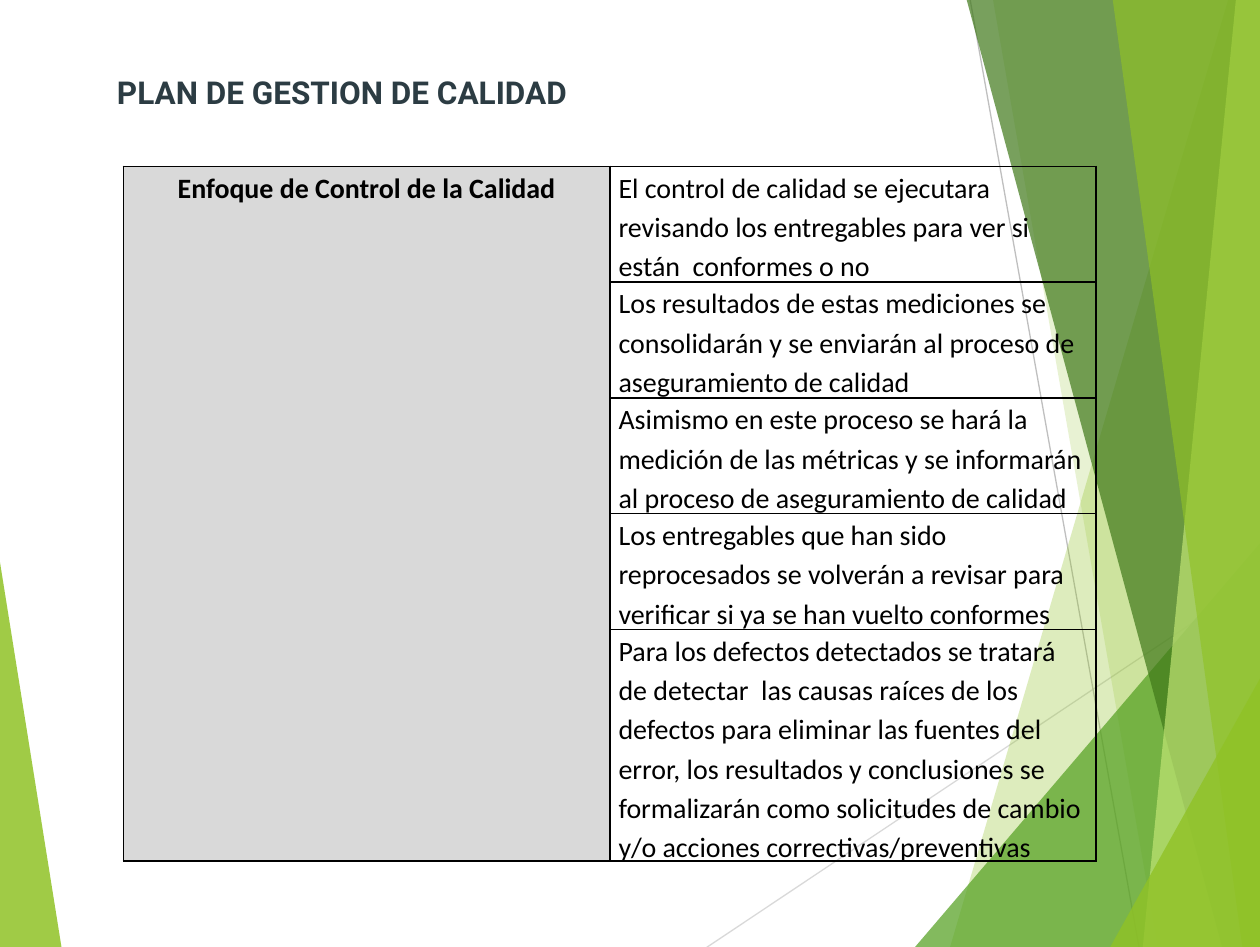
from dataclasses import dataclass
from lxml.etree import SubElement as Sub
from pptx import Presentation
from pptx.dml.color import RGBColor as RGB
from pptx.enum.shapes import MSO_CONNECTOR as Conn
from pptx.enum.text import MSO_AUTO_SIZE as Auto, PP_ALIGN as Align
from pptx.oxml.ns import qn
from pptx.util import Inches, Pt


@dataclass(frozen=True)
class Theme:
    lime: str = "90C226"
    green: str = "54A021"
    dark: str = "3F7819"
    pale: str = "C0E474"
    mist: str = "D9D9D9"
    gray: str = "BFBFBF"
    slate: str = "2C3C43"
    black: str = "000000"
    head: str = "Roboto"
    body: str = "Calibri"
    big: int = 18
    small: int = 16


class Deck:
    def __init__(self, theme, wide, high):
        self.theme = theme
        self.file = Presentation()
        self.file.slide_width = wide
        self.file.slide_height = high
        self.slide = self.file.slides.add_slide(self.file.slide_layouts[6])
        self.shapes = self.slide.shapes

    def shard(self, color, alpha, *points):
        spots = [(Inches(x), Inches(y)) for x, y in points]
        form = self.shapes.build_freeform(*spots[0], scale=1.0)
        form.add_line_segments(spots[1:], close=True)
        shape = form.convert_to_shape()
        shape.shadow.inherit = False
        shape.fill.solid()
        shape.fill.fore_color.rgb = RGB.from_string(color)
        tint = shape._element.spPr.find(".//" + qn("a:srgbClr"))
        Sub(tint, qn("a:alpha"), val=str(alpha * 1000))
        shape.line.fill.background()

    def line(self, color, start, end):
        ends = [Inches(v) for v in (*start, *end)]
        line = self.shapes.add_connector(Conn.STRAIGHT, *ends)
        line.line.color.rgb = RGB.from_string(color)
        line.line.width = Pt(0.75)
        Sub(line._element.spPr, qn("a:effectLst"))

    def style(self, par, face, size, color, bold):
        for run in par.runs:
            font = run.font
            font.name, font.size, font.bold = face, Pt(size), bold
            font.color.rgb = RGB.from_string(color)

    def title(self, text, *box):
        frame = self.shapes.add_textbox(*map(Inches, box)).text_frame
        frame.word_wrap = True
        frame.auto_size = Auto.SHAPE_TO_FIT_TEXT
        frame.text = text
        look = self.theme
        self.style(frame.paragraphs[0], look.head, look.big, look.slate, True)

    def edge(self, cell):
        props = cell._tc.get_or_add_tcPr()
        for side in "LRTB":
            line = Sub(props, qn("a:ln" + side), w=str(Pt(1)))
            fill = Sub(line, qn("a:solidFill"))
            Sub(fill, qn("a:srgbClr"), val=self.theme.black)

    def cell(self, cell, text, lead):
        look = self.theme
        cell.margin_left = cell.margin_right = Inches(0.07)
        cell.margin_top = cell.margin_bottom = 0
        self.edge(cell)
        if lead:
            cell.fill.solid()
            cell.fill.fore_color.rgb = RGB.from_string(look.mist)
        else:
            cell.fill.background()
        cell.text_frame.text = text
        par = cell.text_frame.paragraphs[0]
        par.alignment = Align.CENTER if lead else Align.LEFT
        par.line_spacing = 1.15
        self.style(par, look.body, look.small, look.black, lead)

    def table(self, label, notes, rows, left, top, wide):
        box = map(Inches, (left, top, wide, sum(rows)))
        grid = self.shapes.add_table(len(rows), 2, *box).table
        grid.first_row = grid.horz_banding = False
        for i, (note, high) in enumerate(zip(notes, rows)):
            grid.rows[i].height = Inches(high)
            self.cell(grid.cell(i, 0), "" if i else label, True)
            self.cell(grid.cell(i, 1), note, False)
        grid.cell(0, 0).merge(grid.cell(len(rows) - 1, 0))


NOTES = [
    "El control de calidad se ejecutara revisando los entregables para ver si "
    "están  conformes o no",
    "Los resultados de estas mediciones se consolidarán y se enviarán al "
    "proceso de aseguramiento de calidad",
    "Asimismo en este proceso se hará la medición de las métricas y se "
    "informarán al proceso de aseguramiento de calidad",
    "Los entregables que han sido reprocesados se volverán a revisar para "
    "verificar si ya se han vuelto conformes",
    "Para los defectos detectados se tratará de detectar  las causas raíces "
    "de los  defectos para eliminar las fuentes del error, los resultados y "
    "conclusiones se  formalizarán como solicitudes de cambio y/o acciones "
    "correctivas/preventivas",
]


def main():
    look = Theme()
    deck = Deck(look, Inches(10), Pt(541.25))
    top, foot, right = -0.01, 7.52, 10.01

    deck.shard(look.lime, 85, (-0.01, 4.4), (0.49, 7.53), (-0.01, foot))
    deck.line(look.mist, (5.61, foot), (right, 4.58))
    deck.line(look.gray, (7.7, 0), (9.04, foot))

    def band(color, alpha, head, base):
        deck.shard(color, alpha, (head, top), (base, foot), (right, foot), (right, top))

    def wedge(color, alpha, base, peak):
        deck.shard(color, alpha, (base, foot), (right, peak), (right, foot))

    band(look.lime, 30, 9.75, 7.54)
    band(look.lime, 20, 7.88, 9.19)
    wedge(look.green, 72, 7.26, 4.3)
    band(look.dark, 70, 7.67, 9.7)
    band(look.pale, 70, 9.81, 9.07)
    band(look.lime, 65, 8.83, 9.86)
    wedge(look.lime, 80, 8.81, 5.37)

    deck.title("PLAN DE GESTION DE CALIDAD", 0.83, 0.53, 4.72, 0.4)
    rows = [0.88] * 4 + [1.77]
    deck.table("Enfoque de Control de la Calidad", NOTES, rows, 0.98, 1.32, 7.72)
    deck.file.save("out.pptx")


if __name__ == "__main__":
    main()
